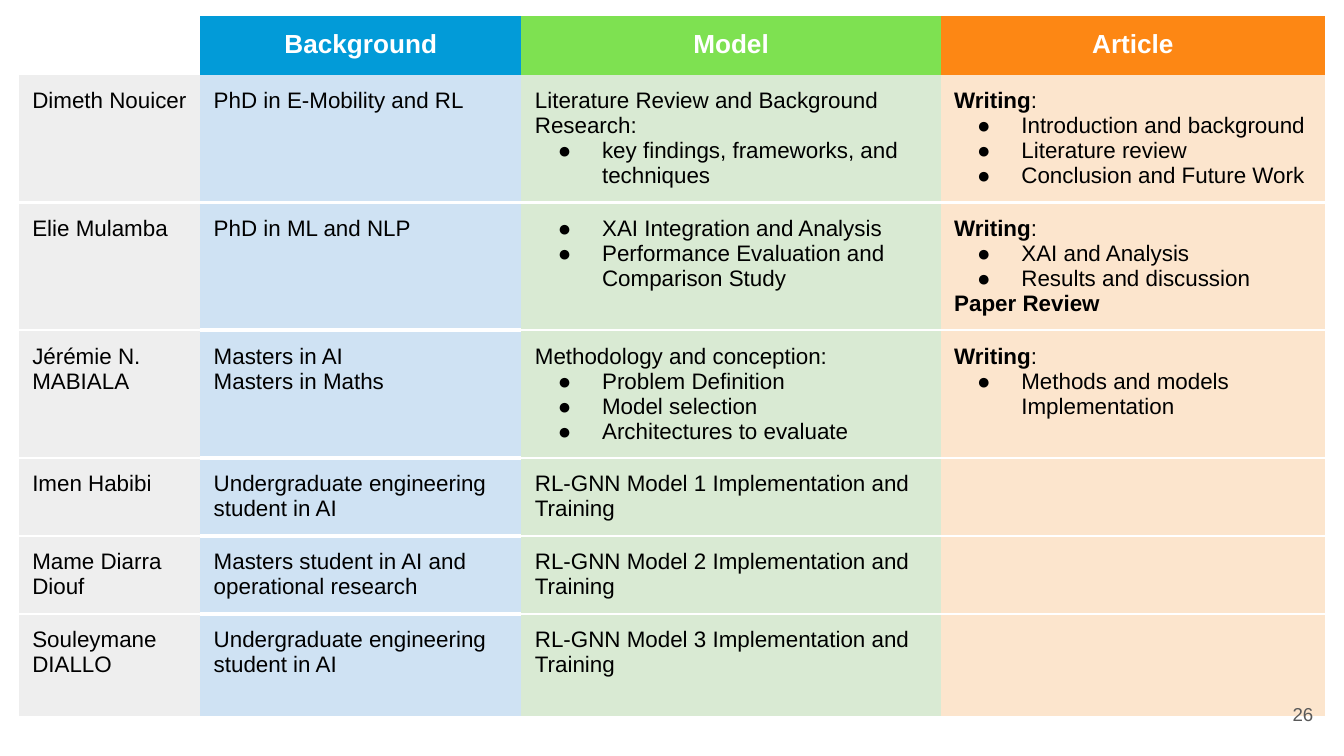
import pptx
import pptx.util
import pptx.dml.color
import pptx.enum.text
import pptx.oxml.ns
import lxml.etree

Inches, Pt = pptx.util.Inches, pptx.util.Pt
RGB = pptx.dml.color.RGBColor.from_string
ALIGN = pptx.enum.text.PP_ALIGN
qn = pptx.oxml.ns.qn

THEME = {
    "font": "Arial",
    "header": {"size": Pt(14), "bold": True, "color": "FFFFFF"},
    "body": {"size": Pt(12), "bold": False, "color": "000000"},
    "strong": {"size": Pt(12), "bold": True, "color": "000000"},
    "number": {"size": Pt(10), "bold": False, "color": "595959"},
    "header_fills": [None, "029BD8", "7EE151", "FD8714"],
    "column_fills": ["EEEEEE", "CFE2F3", "D9EAD3", "FCE5CD"],
    "rule": "FFFFFF",
    "rule_widths": [1.5, 2.25, 1.5, 1.5],
}

# Content: a cell is a list of paragraphs, each a (kind, text) pair
def plain(*texts):
    return [("plain", t) for t in texts]


def bullets(*texts):
    return [("bullet", t) for t in texts]


WRITING = [("lead", "Writing")]
HEADERS = ["", "Background", "Model", "Article"]
MEMBERS = [
    (plain("Dimeth Nouicer"), plain("PhD in E-Mobility and RL"),
     plain("Literature Review and Background Research:")
     + bullets("key findings, frameworks, and techniques"),
     WRITING + bullets("Introduction and background", "Literature review",
                       "Conclusion and Future Work")),
    (plain("Elie Mulamba"), plain("PhD in ML and NLP"),
     bullets("XAI Integration and Analysis",
             "Performance Evaluation and Comparison Study"),
     WRITING + bullets("XAI and Analysis", "Results and discussion")
     + [("strong", "Paper Review")]),
    (plain("Jérémie N. MABIALA"), plain("Masters in AI", "Masters in Maths"),
     plain("Methodology and conception:")
     + bullets("Problem Definition", "Model selection", "Architectures to evaluate"),
     WRITING + bullets("Methods and models Implementation")),
    (plain("Imen Habibi"), plain("Undergraduate engineering student in AI"),
     plain("RL-GNN Model 1 Implementation and Training"), []),
    (plain("Mame Diarra Diouf"), plain("Masters student in AI and operational research"),
     plain("RL-GNN Model 2 Implementation and Training"), []),
    (plain("Souleymane DIALLO"), plain("Undergraduate engineering student in AI"),
     plain("RL-GNN Model 3 Implementation and Training"), []),
]
PAGE_NUMBER = "26"

# Layout
SLIDE_WIDTH = 10
SLIDE_HEIGHT = SLIDE_WIDTH * 9 / 16
LEFT, TOP = 0.14, 0.12
COL_WIDTHS = [1.35, 2.39, 3.12, 2.86]
ROW_HEIGHTS = [0.42] + [0.95] * 3 + [0.58] * 2 + [0.76]
MARGINS = {f"margin_{side}": Inches(0.1) for side in ("left", "right", "top", "bottom")}


def set_all(obj, values):
    for name, value in values.items():
        setattr(obj, name, value)


def add_run(p, text, style_name):
    style = THEME[style_name]
    r = p.add_run()
    r.text = text
    set_all(r.font, {"name": THEME["font"], "size": style["size"], "bold": style["bold"]})
    r.font.color.rgb = RGB(style["color"])


def add_bullet(p):
    pPr = p._p.get_or_add_pPr()
    pPr.set("marL", str(Inches(0.5)))
    pPr.set("indent", str(-Inches(0.33)))
    color = lxml.etree.SubElement(pPr, qn("a:buClr"))
    lxml.etree.SubElement(color, qn("a:srgbClr"), val=THEME["body"]["color"])
    lxml.etree.SubElement(pPr, qn("a:buSzPts"), sz="1200").set("val", "1200")
    del pPr[-1].attrib["sz"]
    lxml.etree.SubElement(pPr, qn("a:buFont"), typeface=THEME["font"])
    lxml.etree.SubElement(pPr, qn("a:buChar"), char="●")


def write_cell(cell, paragraphs):
    tf = cell.text_frame
    for i, (kind, text) in enumerate(paragraphs):
        p = tf.add_paragraph() if i else tf.paragraphs[0]
        if kind == "bullet":
            add_bullet(p)
        add_run(p, text, "strong" if kind in ("lead", "strong") else "body")
        if kind == "lead":
            add_run(p, ":", "body")


def set_borders(cell, top, bottom):
    """Draw a rule of the given point width on each side; 0 leaves it bare."""
    tcPr = cell._tc.get_or_add_tcPr()
    for tag, width in (("lnL", 0), ("lnR", 0), ("lnT", top), ("lnB", bottom)):
        ln = lxml.etree.SubElement(tcPr, qn(f"a:{tag}"), w=str(Pt(width)))
        if width:
            fill = lxml.etree.SubElement(ln, qn("a:solidFill"))
            lxml.etree.SubElement(fill, qn("a:srgbClr"), val=THEME["rule"])
        else:
            lxml.etree.SubElement(ln, qn("a:noFill"))


def fill_cell(cell, color):
    if color:
        cell.fill.solid()
        cell.fill.fore_color.rgb = RGB(color)
    else:
        cell.fill.background()


def add_team_table(s):
    table = s.shapes.add_table(
        len(ROW_HEIGHTS), len(COL_WIDTHS), Inches(LEFT), Inches(TOP),
        Inches(sum(COL_WIDTHS)), Inches(sum(ROW_HEIGHTS))).table
    set_all(table, {"first_row": False, "horz_banding": False})
    for column, width in zip(table.columns, COL_WIDTHS):
        column.width = Inches(width)
    for row, height in zip(table.rows, ROW_HEIGHTS):
        row.height = Inches(height)

    # Header row; the empty corner keeps the header type size so the row stays low
    for c, (text, color) in enumerate(zip(HEADERS, THEME["header_fills"])):
        cell = table.cell(0, c)
        set_all(cell, MARGINS)
        set_borders(cell, 0, 0)
        fill_cell(cell, color)
        p = cell.text_frame.paragraphs[0]
        if text:
            p.alignment = ALIGN.CENTER
            add_run(p, text, "header")
        else:
            size = int(THEME["header"]["size"].pt * 100)
            lxml.etree.SubElement(p._p, qn("a:endParaRPr"), sz=str(size))

    # One row per member, with rules only between members
    for r, member in enumerate(MEMBERS, 1):
        for c, paragraphs in enumerate(member):
            cell = table.cell(r, c)
            width = THEME["rule_widths"][c]
            set_all(cell, MARGINS)
            set_borders(cell, width if r > 1 else 0, width if r < len(MEMBERS) else 0)
            fill_cell(cell, THEME["column_fills"][c])
            write_cell(cell, paragraphs)


def add_page_number(s):
    tf = s.shapes.add_textbox(Inches(9.27), Inches(5.1), Inches(0.6), Inches(0.43)).text_frame
    set_all(tf, {**MARGINS, "word_wrap": True,
                 "vertical_anchor": pptx.enum.text.MSO_ANCHOR.MIDDLE})
    p = tf.paragraphs[0]
    p.alignment = ALIGN.RIGHT
    add_run(p, PAGE_NUMBER, "number")


def main():
    prs = pptx.Presentation()
    set_all(prs, {"slide_width": Inches(SLIDE_WIDTH), "slide_height": Inches(SLIDE_HEIGHT)})
    s = prs.slides.add_slide(prs.slide_layouts[6])
    add_team_table(s)
    add_page_number(s)
    prs.save("out.pptx")


if __name__ == "__main__":
    main()
